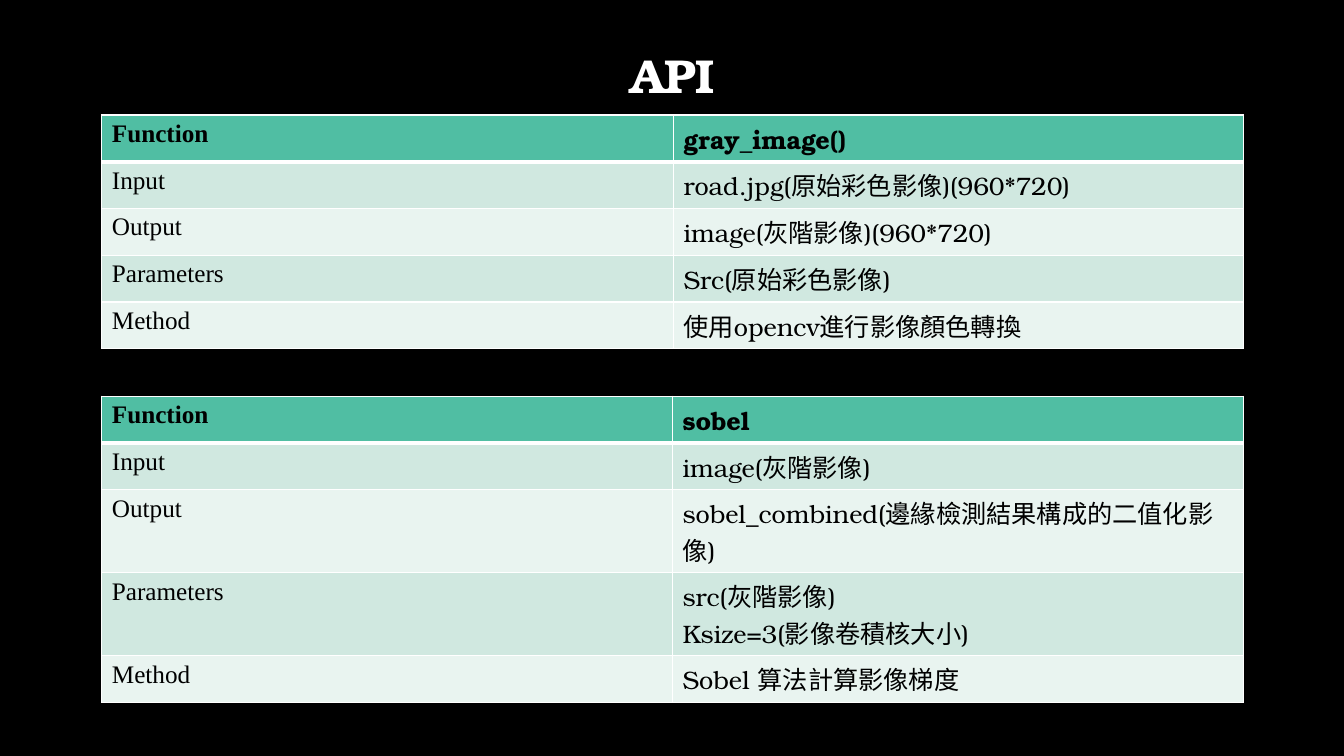
from lxml import etree
from pptx import Presentation
from pptx.dml.color import RGBColor
from pptx.enum.text import MSO_ANCHOR, PP_ALIGN
from pptx.oxml.ns import qn
from pptx.util import Inches, Pt

BLACK = RGBColor(0x00, 0x00, 0x00)
WHITE = RGBColor(0xFF, 0xFF, 0xFF)
HEADER_GREEN = RGBColor(0x50, 0xBE, 0xA3)
BAND_COLORS = (RGBColor(0xE9, 0xF4, 0xF0), RGBColor(0xD0, 0xE8, 0xE0))

SERIF = "TeX Gyre Bonum"
LABEL_FONT = "Times New Roman"
LABELS = ("Function", "Input", "Output", "Parameters", "Method")

LEFT, WIDTH = 1.01, 11.32
ROW_HEIGHT = 2.32 / len(LABELS)
EXTRA_LINE = 0.36

# Each detail comes with the number of lines it takes up.
GRAY_IMAGE = (
    ("gray_image()", 1),
    ("road.jpg(原始彩色影像)(960*720)", 1),
    ("image(灰階影像)(960*720)", 1),
    ("Src(原始彩色影像)", 1),
    ("使用opencv進行影像顏色轉換", 1),
)
SOBEL = (
    ("sobel", 1),
    ("image(灰階影像)", 1),
    ("sobel_combined(邊緣檢測結果構成的二值化影像)", 2),
    ("src(灰階影像)\nKsize=3(影像卷積核大小)", 2),
    ("Sobel 算法計算影像梯度", 1),
)


def format_font(font, color, **values):
    font.color.rgb = color
    for name, value in values.items():
        setattr(font, name, value)


def add_title(slide, text):
    box = slide.shapes.add_textbox(
        Inches(LEFT), Inches(0.05), Inches(WIDTH), Inches(1.45))
    frame = box.text_frame
    frame.word_wrap = True
    frame.vertical_anchor = MSO_ANCHOR.MIDDLE
    frame.text = text
    title = frame.paragraphs[0]
    title.alignment = PP_ALIGN.CENTER
    title.line_spacing = 0.9
    format_font(title.runs[0].font, WHITE, name=SERIF, size=Pt(34), bold=True)


def set_borders(cell, row):
    """Draw white borders, with a thick rule between header and body."""
    widths = {"lnL": 1, "lnR": 1,
              "lnT": 3 if row == 1 else 1,
              "lnB": 3 if row == 0 else 1}
    properties = cell._tc.get_or_add_tcPr()
    for position, (side, width) in enumerate(widths.items()):
        line = etree.Element(qn(f"a:{side}"), w=str(Pt(width)))
        fill = etree.SubElement(line, qn("a:solidFill"))
        etree.SubElement(fill, qn("a:srgbClr"), val=str(WHITE))
        properties.insert(position, line)


def fill_cell(cell, row, text, font_name):
    cell.text = text
    for paragraph in cell.text_frame.paragraphs:
        for run in paragraph.runs:
            format_font(run.font, BLACK, name=font_name, size=Pt(18),
                        bold=row == 0)
    cell.fill.solid()
    cell.fill.fore_color.rgb = BAND_COLORS[row % 2] if row else HEADER_GREEN
    set_borders(cell, row)


def add_function_table(slide, top, label_width, details):
    heights = [ROW_HEIGHT + EXTRA_LINE * (lines - 1) for _, lines in details]
    table = slide.shapes.add_table(
        len(LABELS), 2, Inches(LEFT), Inches(top),
        Inches(WIDTH), Inches(sum(heights))).table
    table.columns[0].width = Inches(label_width)
    table.columns[1].width = Inches(WIDTH - label_width)
    for row, (label, (detail, _)) in enumerate(zip(LABELS, details)):
        table.rows[row].height = Inches(heights[row])
        fill_cell(table.cell(row, 0), row, label, LABEL_FONT)
        fill_cell(table.cell(row, 1), row, detail, SERIF)


def main():
    prs = Presentation()
    prs.slide_width, prs.slide_height = Inches(13.33), Inches(7.5)
    slide = prs.slides.add_slide(prs.slide_layouts[6])
    slide.background.fill.solid()
    slide.background.fill.fore_color.rgb = BLACK

    add_title(slide, "API")
    add_function_table(slide, 1.14, 5.67, GRAY_IMAGE)
    add_function_table(slide, 3.93, 5.66, SOBEL)
    prs.save("out.pptx")


if __name__ == "__main__":
    main()
